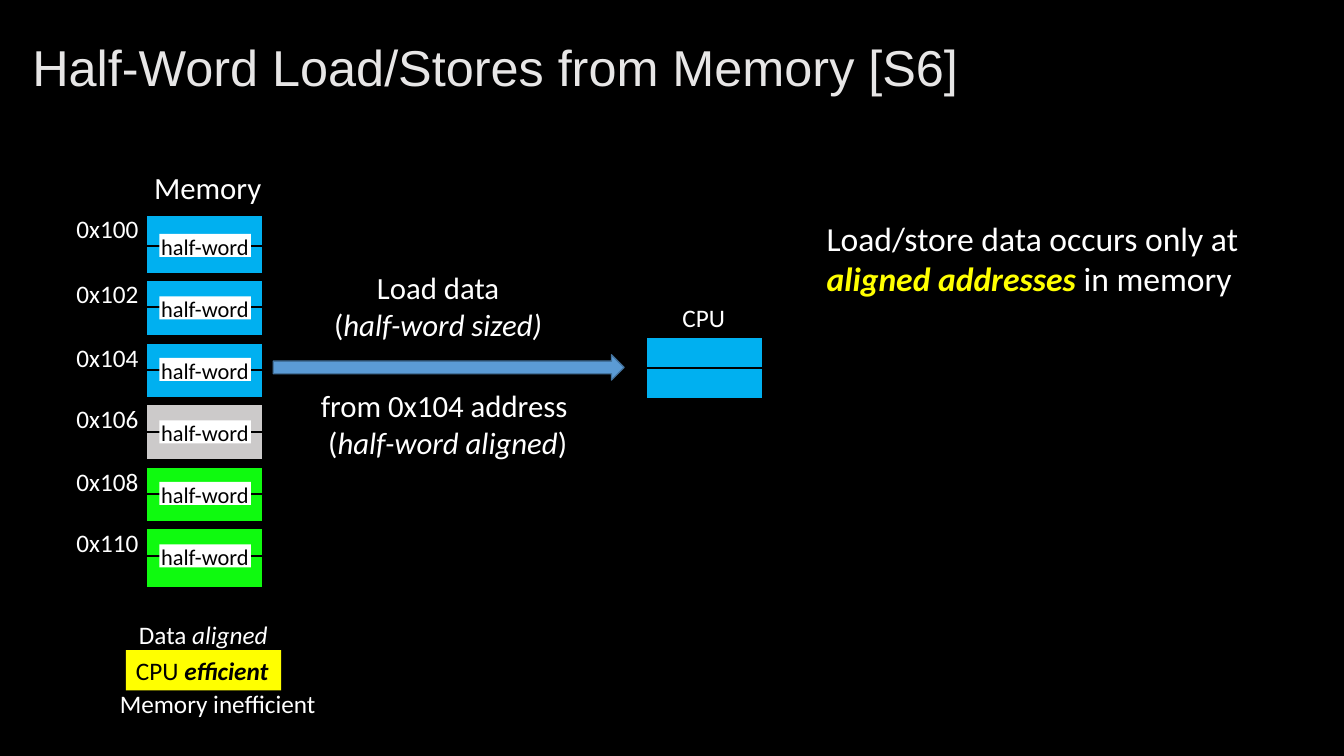
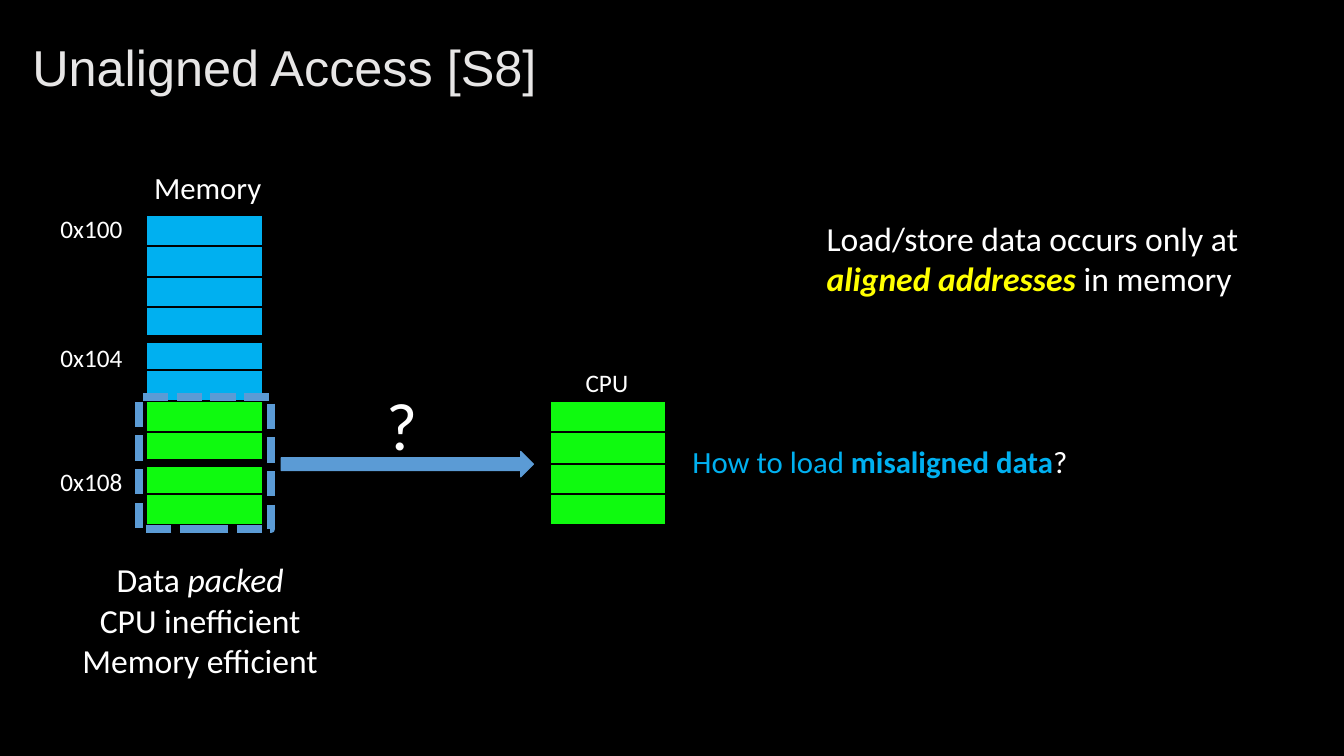
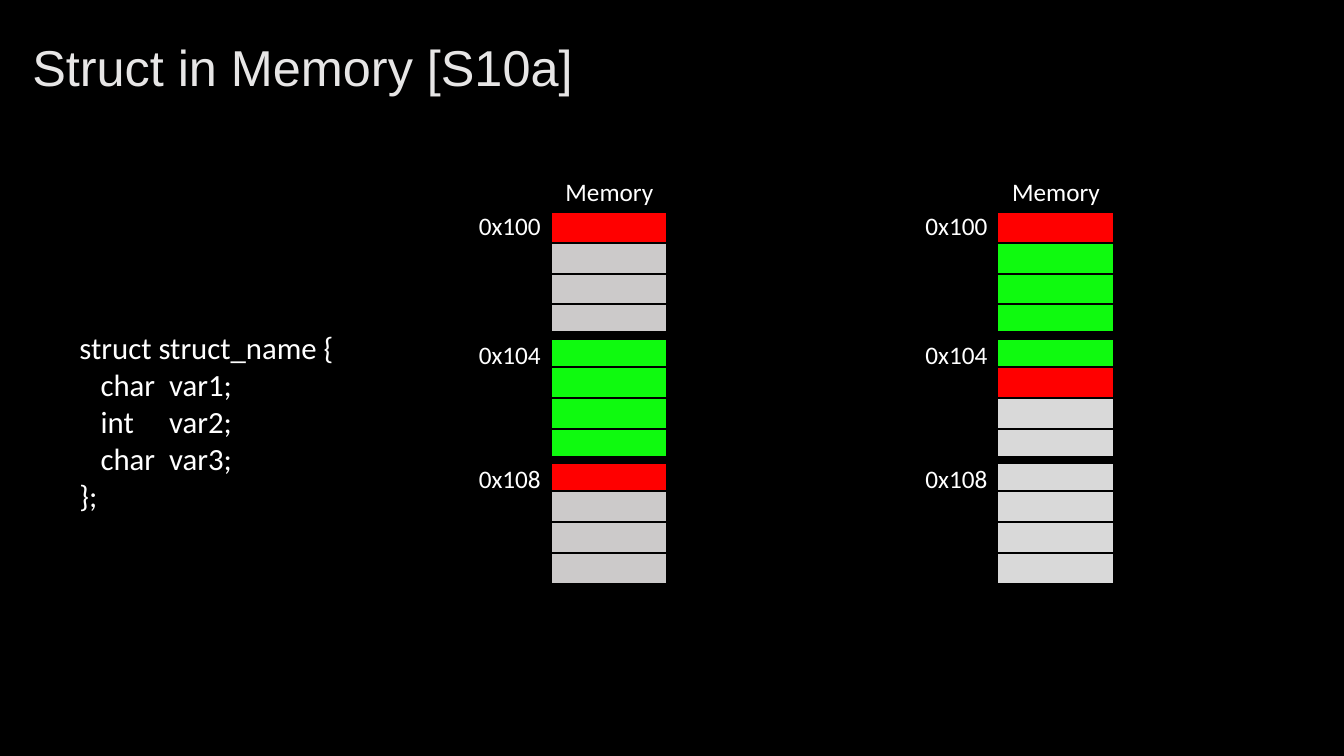
from pptx import Presentation
from pptx.dml.color import RGBColor
from pptx.enum.dml import MSO_LINE
from pptx.enum.shapes import MSO_SHAPE
from pptx.enum.text import MSO_ANCHOR, MSO_AUTO_SIZE, PP_ALIGN
from pptx.oxml.ns import qn
from pptx.util import Pt
from lxml import etree

RECTANGLE = MSO_SHAPE.RECTANGLE
RIGHT_ARROW = MSO_SHAPE.RIGHT_ARROW
SYSTEM_DASH = MSO_LINE.SQUARE_DOT
MIDDLE = MSO_ANCHOR.MIDDLE
FIT_SHAPE = MSO_AUTO_SIZE.SHAPE_TO_FIT_TEXT
NO_FIT = MSO_AUTO_SIZE.NONE
LEFT, CENTER = PP_ALIGN.LEFT, PP_ALIGN.CENTER

EMU_PER_PX = 9144  # 100 px to the inch

BLACK = RGBColor(0x00, 0x00, 0x00)
WHITE = RGBColor(0xFF, 0xFF, 0xFF)
TITLE_GRAY = RGBColor(0xE7, 0xE6, 0xE6)
BLUE = RGBColor(0x00, 0xB0, 0xF0)
GREEN = RGBColor(0x0F, 0xFA, 0x0F)
RED = RGBColor(0xFF, 0x00, 0x00)
YELLOW = RGBColor(0xFF, 0xFF, 0x00)
PADDING_GRAY = RGBColor(0xCC, 0xCA, 0xCA)
UNUSED_GRAY = RGBColor(0xD9, 0xD9, 0xD9)
ARROW_BLUE = RGBColor(0x5B, 0x9B, 0xD5)
ARROW_EDGE = RGBColor(0x43, 0x73, 0x9E)

# Memory cells: one byte each
CELL_WIDTH, CELL_HEIGHT, CELL_STEP = 116, 31, 30.8
FRAME_MARGIN = 2
MEMORY_LEFT, MEMORY_TOP = 145, 213

# Height of each address label, measured from the top of the memory
ADDRESS_OFFSETS = {"0x100": -6, "0x102": 58, "0x104": 122,
                   "0x106": 182, "0x108": 245, "0x110": 305}
WORD_ADDRESSES = ("0x100", "0x104", "0x108")


def px(*lengths):
    return [round(length * EMU_PER_PX) for length in lengths]


class Deck:
    """Holds the shared style and the slide being drawn."""

    title_font, title_size = "Arial", 36
    body_font = "Calibri"

    def __init__(self):
        self.presentation = Presentation()
        (self.presentation.slide_width,
         self.presentation.slide_height) = px(1333, 750)
        background = self.presentation.slide_master.background.fill
        background.solid()
        background.fore_color.rgb = BLACK
        self.slide = None

    def new_slide(self, title):
        layout = self.presentation.slide_layouts[5]
        self.slide = self.presentation.slides.add_slide(layout)
        shape = self.slide.shapes.title
        shape.left, shape.top, shape.width, shape.height = px(22, 21, 1289, 97)
        frame = shape.text_frame
        frame.text = title
        frame.vertical_anchor = MIDDLE
        frame.auto_size = NO_FIT
        paragraph = frame.paragraphs[0]
        paragraph.alignment = LEFT
        paragraph.line_spacing = 0.9
        font = paragraph.runs[0].font
        font.name, font.size = self.title_font, Pt(self.title_size)
        font.color.rgb = TITLE_GRAY

    def shape(self, box, fill=None, line=None, weight=1.5, kind=RECTANGLE):
        shape = self.slide.shapes.add_shape(kind, *px(*box))
        shape.shadow.inherit = False
        if fill is None:
            shape.fill.background()
        else:
            shape.fill.solid()
            shape.fill.fore_color.rgb = fill
        if line is None:
            shape.line.fill.background()
        else:
            shape.line.color.rgb = line
            shape.line.width = Pt(weight)
        return shape

    def text(self, box, paragraphs, size=18, color=WHITE, align=LEFT, wrap=False):
        """Each paragraph is a list of runs: (text, marks[, color])."""
        shape = self.slide.shapes.add_textbox(*px(*box))
        frame = shape.text_frame
        frame.word_wrap = wrap
        frame.auto_size = FIT_SHAPE
        for index, runs in enumerate(paragraphs):
            paragraph = frame.add_paragraph() if index else frame.paragraphs[0]
            paragraph.alignment = align
            for words, marks, *own_color in runs:
                run = paragraph.add_run()
                run.text = words
                font = run.font
                font.name, font.size = self.body_font, Pt(size)
                font.bold, font.italic = "b" in marks, "i" in marks
                font.color.rgb = own_color[0] if own_color else color
        return shape

    def label(self, box, words, **style):
        return self.text(box, [[(words, "")]], **style)

    def code(self, box, lines, tab_stops, size):
        shape = self.text(box, [[(line, "")] for line in lines], size, wrap=True)
        for paragraph in shape.text_frame.paragraphs:
            properties = paragraph._p.get_or_add_pPr()
            tabs = etree.SubElement(properties, qn("a:tabLst"))
            for position in px(*tab_stops):
                etree.SubElement(tabs, qn("a:tab"), pos=str(position), algn="l")

    def cells(self, left, top, colors):
        for index, color in enumerate(colors):
            cell_top = round(top + index * CELL_STEP)
            self.shape((left, cell_top, CELL_WIDTH, CELL_HEIGHT), color, BLACK)

    def memory(self, left, top, colors, bytes_per_frame):
        """Draws the cells and their frames; returns the top of each frame."""
        self.cells(left, top, colors)
        width = CELL_WIDTH + 2 * FRAME_MARGIN
        height = round(bytes_per_frame * CELL_STEP) + 2 * FRAME_MARGIN
        frame_tops = [round(top + index * CELL_STEP) - FRAME_MARGIN
                      for index in range(0, len(colors), bytes_per_frame)]
        for frame_top in frame_tops:
            self.shape((left - FRAME_MARGIN, frame_top, width, height),
                       line=BLACK, weight=3)
        return frame_tops

    def addresses(self, left, top, names):
        for name in names:
            self.label((left, top + ADDRESS_OFFSETS[name], 82, 40), name)

    def cpu(self, left, top, colors):
        self.cells(left, top, colors)
        self.label((left + 26, top - 39, 63, 40), "CPU", wrap=True)

    def arrow(self, box, edge):
        self.shape(box, ARROW_BLUE, edge, 1, RIGHT_ARROW)

    def memory_heading(self):
        self.label((143, 162, 128, 47), "Memory", size=22)

    def alignment_rule(self):
        self.text((810, 211, 439, 91),
                  [[("Load/store data occurs only at", "")],
                   [("aligned addresses ", "bi", YELLOW), ("in memory", "")]],
                  size=24)


def half_word_slide(deck):
    deck.new_slide("Half-Word Load/Stores from Memory [S6]")

    # Memory in half-words
    colors = [BLUE] * 6 + [PADDING_GRAY] * 2 + [GREEN] * 4
    for top in deck.memory(MEMORY_LEFT, MEMORY_TOP, colors, 2):
        deck.shape((MEMORY_LEFT + 13, top + 21, 91, 23), WHITE)
        deck.label((MEMORY_LEFT + 5, top + 15, 108, 37), "half-word",
                   size=16, color=BLACK, wrap=True)
    deck.addresses(66, MEMORY_TOP, ADDRESS_OFFSETS)
    deck.memory_heading()

    # Load into the CPU
    deck.cpu(641, 334, [BLUE] * 2)
    deck.arrow((271, 352, 348, 25), ARROW_EDGE)
    deck.text((251, 262, 374, 84),
              [[("Load data ", "")], [("(", ""), ("half-word sized) ", "i")]],
              size=22, align=CENTER, wrap=True)
    deck.text((303, 379, 282, 84),
              [[("from 0x104 address ", "")],
               [("(", ""), ("half-word aligned", "i"), (")", "")]],
              size=22, align=CENTER, wrap=True)

    # Trade-offs
    deck.text((128, 609, 149, 40), [[("Data ", ""), ("aligned", "i")]])
    efficient = deck.text((125, 645, 154, 40),
                          [[("CPU ", ""), ("efficient", "bi")]], color=BLACK)
    efficient.fill.solid()
    efficient.fill.fore_color.rgb = YELLOW
    deck.label((109, 678, 217, 40), "Memory inefficient")
    deck.alignment_rule()


def unaligned_slide(deck):
    deck.new_slide("Unaligned Access [S8]")

    # Packed memory with the misaligned word marked
    deck.memory(MEMORY_LEFT, MEMORY_TOP, [BLUE] * 6 + [GREEN] * 4, 4)
    deck.addresses(50, MEMORY_TOP, WORD_ADDRESSES)
    deck.memory_heading()
    marker = deck.shape((138, 394, 131, 131), line=ARROW_BLUE, weight=6)
    marker.line.dash_style = SYSTEM_DASH

    # Load into the CPU
    deck.cpu(545, 398, [GREEN] * 4)
    deck.arrow((279, 448, 250, 25), ARROW_BLUE)
    deck.label((374, 375, 97, 91), "?", size=48, wrap=True)
    deck.text((677, 434, 396, 47),
              [[("How to load ", ""), ("misaligned data", "b"), ("?", "", WHITE)]],
              size=22, color=BLUE)

    # Trade-offs
    deck.text((70, 550, 257, 131),
              [[("Data ", ""), ("packed", "i")],
               [("CPU inefficient", "")], [("Memory efficient", "")]],
              size=24, align=CENTER)
    deck.alignment_rule()


def struct_slide(deck):
    deck.new_slide("Struct in Memory [S10a]")
    deck.code((69, 321, 314, 195),
              ["struct struct_name {", "\tchar\tvar1;", "\tint\tvar2;",
               "\tchar\tvar3;", "};"],
              tab_stops=(21, 89), size=22)

    # Aligned and packed layouts
    top = 210
    aligned = [RED] + [PADDING_GRAY] * 3 + [GREEN] * 4 + [RED] + [PADDING_GRAY] * 3
    packed = [RED] + [GREEN] * 4 + [RED] + [UNUSED_GRAY] * 6
    for left, colors in ((546, aligned), (989, packed)):
        deck.memory(left, top, colors, 4)
        deck.label((left + 5, top - 40, 108, 40), "Memory")
        deck.addresses(left - 81, top, WORD_ADDRESSES)


def main():
    deck = Deck()
    half_word_slide(deck)
    unaligned_slide(deck)
    struct_slide(deck)
    deck.presentation.save("out.pptx")


if __name__ == "__main__":
    main()
